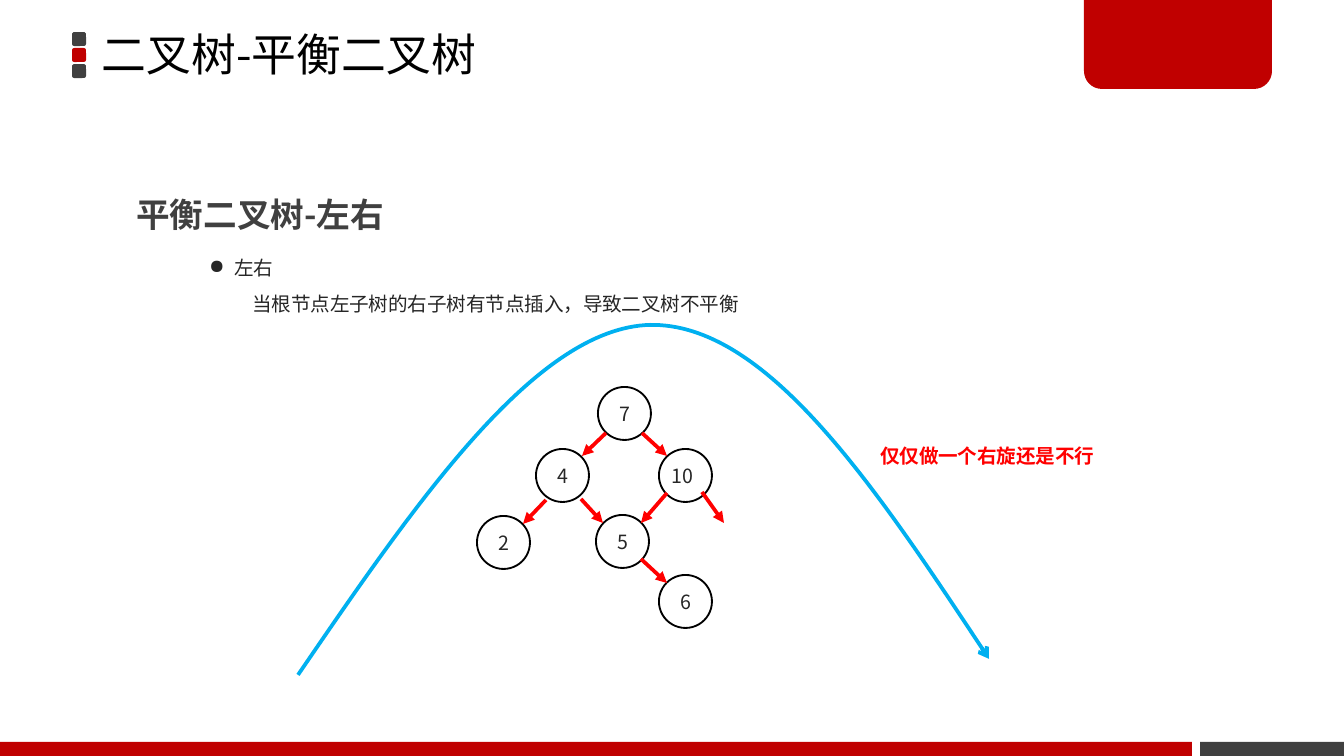
from dataclasses import dataclass

from lxml.etree import SubElement
from pptx import Presentation
from pptx.dml.color import RGBColor as Color
from pptx.enum.shapes import MSO_CONNECTOR as Connector, MSO_SHAPE as Shape
from pptx.enum.text import MSO_ANCHOR as Anchor, MSO_AUTO_SIZE as AutoSize, PP_ALIGN as Align
from pptx.oxml.ns import qn
from pptx.util import Pt

PX = 914400 / 134.4


@dataclass(frozen=True)
class Theme:
    red: str = "C00000"
    dark: str = "404040"
    black: str = "000000"
    body: str = "262626"
    alert: str = "FF0000"
    sweep: str = "00B0F0"
    title_font: str = "Noto Sans CJK JP"
    body_font: str = "Noto Sans CJK SC"
    title_size: float = 24
    heading_size: float = 18
    body_size: float = 10.5


THEME = Theme()


def px(value):
    return round(value * PX)


def paint(shape, fill=None, line=None, width=1):
    shape.shadow.inherit = False
    if fill:
        shape.fill.solid()
        shape.fill.fore_color.rgb = Color.from_string(fill)
    else:
        shape.fill.background()
    if line:
        shape.line.color.rgb = Color.from_string(line)
        shape.line.width = Pt(width)
    else:
        shape.line.fill.background()


def add_block(slide, kind, left, top, width, height, **colours):
    shape = slide.shapes.add_shape(kind, px(left), px(top), px(width), px(height))
    paint(shape, **colours)
    return shape


def add_tail(shape, kind):
    SubElement(shape.line._get_or_add_ln(), qn("a:tailEnd"), type=kind)


def write(paragraph, text, size=THEME.body_size, font=THEME.body_font, colour=THEME.body,
          bold=False, align=None, spacing=None, margin=0, bullet=None):
    if margin:
        properties = paragraph._p.get_or_add_pPr()
        properties.set("marL", str(px(margin)))
        properties.set("indent", str(px(-margin) if bullet else 0))
        if bullet:
            SubElement(properties, qn("a:buChar"), char=bullet)
    paragraph.alignment = align
    paragraph.line_spacing = spacing
    run = paragraph.add_run()
    run.text = text
    run.font.size = Pt(size)
    run.font.bold = bold
    run.font.color.rgb = Color.from_string(colour)
    run.font.name = font
    SubElement(run._r.get_or_add_rPr(), qn("a:ea"), typeface=font)


def add_text_frame(slide, left, top, width, height, wrap=True):
    frame = slide.shapes.add_textbox(px(left), px(top), px(width), px(height)).text_frame
    frame.word_wrap = wrap
    frame.auto_size = AutoSize.SHAPE_TO_FIT_TEXT
    return frame


def add_outline(slide, left, top, start, segments):
    builder = slide.shapes.build_freeform(*start, scale=PX)
    builder.add_line_segments([point for segment in segments for point in segment], close=False)
    shape = builder.convert_to_shape(px(left), px(top))
    steps = iter(list(shape._element.iter(qn("a:lnTo"))))
    for segment in segments:
        parts = [next(steps) for _ in segment]
        if len(segment) == 3:
            first, *others = parts
            first.tag = qn("a:cubicBezTo")
            for other in others:
                first.append(other[0])
                other.getparent().remove(other)
    return shape


def add_arrow(slide, start, end):
    arrow = slide.shapes.add_connector(Connector.STRAIGHT, *map(px, start + end))
    arrow.line.color.rgb = Color.from_string(THEME.alert)
    arrow.line.width = Pt(2)
    add_tail(arrow, "triangle")
    SubElement(arrow._element.spPr, qn("a:effectLst"))


def draw_header(slide, left, top):
    for index, colour in enumerate((THEME.dark, THEME.red, THEME.dark)):
        add_block(slide, Shape.ROUNDED_RECTANGLE, left, top + 16 * index, 14, 14, fill=colour)
    frame = add_text_frame(slide, left + 20, top - 35, 792, 120)
    frame.auto_size = AutoSize.NONE
    frame.vertical_anchor = Anchor.MIDDLE
    frame.margin_left = frame.margin_right = px(10)
    frame.margin_top = frame.margin_bottom = px(5)
    write(frame.paragraphs[0], "二叉树-平衡二叉树", size=THEME.title_size,
          font=THEME.title_font, colour=THEME.black, spacing=0.9)


def draw_tab(slide, left, top, width, height, radius=18, handle=8):
    shape = add_outline(slide, left, top, (width, 0), [
        [(width, height - radius)],
        [(width, height - handle), (width - handle, height), (width - radius, height)],
        [(radius, height)],
        [(handle, height), (0, height - handle), (0, height - radius)],
        [(0, 0)],
    ])
    paint(shape, fill=THEME.red)


def draw_footer(slide, left, top, width, height, dark_width=144, gap=8):
    red_width = width - dark_width - gap
    add_block(slide, Shape.RECTANGLE, left + red_width + gap, top, dark_width, height, fill=THEME.dark)
    add_block(slide, Shape.RECTANGLE, left, top, red_width, height, fill=THEME.red)


def draw_explanation(slide, left, top):
    heading = add_text_frame(slide, left, top, 460, 75)
    write(heading.paragraphs[0], "平衡二叉树-左右", size=THEME.heading_size,
          colour=THEME.dark, bold=True, spacing=1.5)
    details = add_text_frame(slide, left + 73, top + 71, 1082, 85)
    write(details.paragraphs[0], "左右", spacing=1.5, margin=25, bullet="●")
    write(details.add_paragraph(), "当根节点左子树的右子树有节点插入，导致二叉树不平衡",
          spacing=1.5, margin=43)


def draw_tree(slide, left, top, diameter=53):
    nodes = {"7": (121, 0), "4": (59, 62), "10": (182, 62),
             "2": (0, 129), "5": (119, 128), "6": (182, 188)}
    for label, (x, y) in nodes.items():
        node = add_block(slide, Shape.OVAL, left + x, top + y, diameter, diameter, line=THEME.black)
        if len(label) == 1:
            frame = node.text_frame
            frame.vertical_anchor = Anchor.MIDDLE
        else:
            frame = add_text_frame(slide, left + x - 2, top + y + 8, 51, 38, wrap=False)
        write(frame.paragraphs[0], label, align=Align.CENTER)
    edges = [((129, 46), (105, 69)), ((165, 46), (190, 69)),
             ((69, 113), (46, 137)), ((104, 112), (126, 136)),
             ((225, 105), (247, 136)), ((190, 106), (164, 136)),
             ((164, 172), (190, 196))]
    for (x1, y1), (x2, y2) in edges:
        add_arrow(slide, (left + x1, top + y1), (left + x2, top + y2))


def draw_rotation(slide, left, top):
    curve = add_outline(slide, left, top, (0, 352), [
        [(119, 178), (238, 5), (352, 2)],
        [(468, 0), (580, 168), (691, 336)],
    ])
    paint(curve, line=THEME.sweep, width=2)
    add_tail(curve, "arrow")
    frame = add_text_frame(slide, left + 569, top + 103, 245, 46, wrap=False)
    write(frame.paragraphs[0], "仅仅做一个右旋还是不行", colour=THEME.alert, bold=True, spacing=1.5)


def main():
    presentation = Presentation()
    presentation.slide_width, presentation.slide_height = px(1344), px(756)
    slide = presentation.slides.add_slide(presentation.slide_layouts[6])
    draw_tab(slide, 1084, -3, 188, 92)
    draw_footer(slide, 0, 742, 1344, 14)
    draw_header(slide, 72, 32)
    draw_explanation(slide, 123, 167)
    draw_tree(slide, 477, 387)
    draw_rotation(slide, 298, 323)
    presentation.save("out.pptx")


if __name__ == "__main__":
    main()
